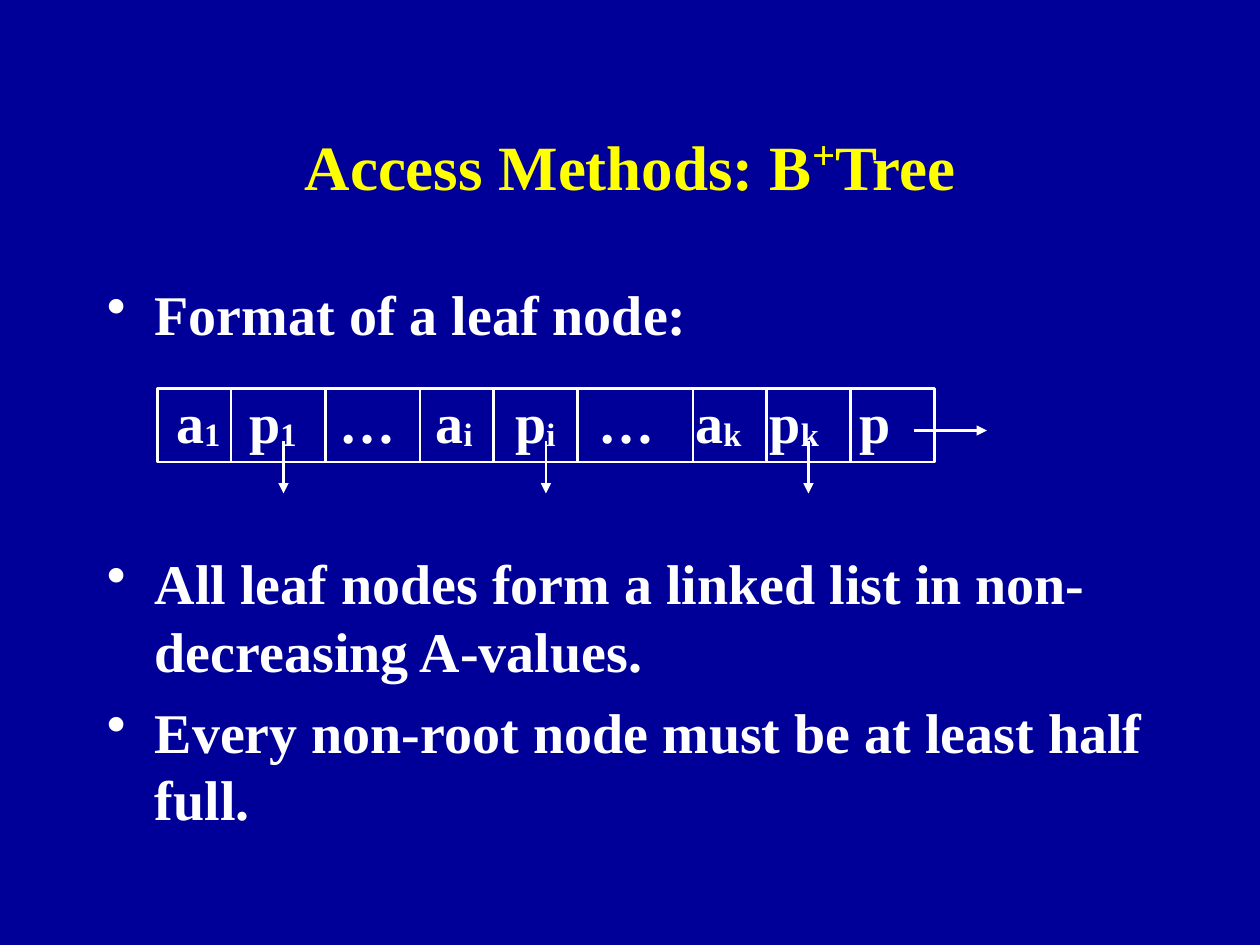
"""Build a slide that shows the format of a B+ tree leaf node."""
import lxml.etree
import pptx
import pptx.dml.color
import pptx.enum.shapes
import pptx.enum.text
import pptx.oxml.ns
import pptx.util

THEME = {
    "background": pptx.dml.color.RGBColor(0x00, 0x00, 0x99),
    "title": pptx.dml.color.RGBColor(0xFF, 0xFF, 0x00),
    "ink": pptx.dml.color.RGBColor(0xFF, 0xFF, 0xFF),
    "font": "Times New Roman",
    "title_size": 36,
    "plus_size": 40,
    "body_size": 32,
    "line_width": 1.5,
}
qualified = pptx.oxml.ns.qn

presentation = pptx.Presentation()
presentation.slide_width = pptx.util.Inches(10)
presentation.slide_height = pptx.util.Inches(7.5)
slide = presentation.slides.add_slide(presentation.slide_layouts[6])
slide.background.fill.solid()
slide.background.fill.fore_color.rgb = THEME["background"]
unit = presentation.slide_width // 120


def add_runs(paragraph, pieces, size, color):
    for text, baseline in pieces:
        run = paragraph.add_run()
        run.text = text
        run.font.name = THEME["font"]
        run.font.size = pptx.util.Pt(size)
        run.font.bold = True
        run.font.color.rgb = color
        if baseline:
            run.font._element.set("baseline", str(baseline * 1000))


def add_line(start_column, start_row, end_column, end_row, arrow=False):
    connector = slide.shapes.add_connector(
        pptx.enum.shapes.MSO_CONNECTOR.STRAIGHT,
        start_column * unit, start_row * unit, end_column * unit, end_row * unit)
    connector.line.color.rgb = THEME["ink"]
    connector.line.width = pptx.util.Pt(THEME["line_width"])
    if arrow:
        lxml.etree.SubElement(connector.line._get_or_add_ln(), qualified("a:tailEnd"), type="triangle")
    lxml.etree.SubElement(connector._element.spPr, qualified("a:effectLst"))


title = slide.shapes.add_textbox(9 * unit, 8 * unit, 102 * unit, 15 * unit)
title.text_frame.word_wrap = True
title.text_frame.vertical_anchor = pptx.enum.text.MSO_ANCHOR.MIDDLE
heading = title.text_frame.paragraphs[0]
heading.alignment = pptx.enum.text.PP_ALIGN.CENTER
add_runs(heading, [("Access Methods: B", 0)], THEME["title_size"], THEME["title"])
add_runs(heading, [("+", 30)], THEME["plus_size"], THEME["title"])
add_runs(heading, [("Tree", 0)], THEME["title_size"], THEME["title"])

body = slide.shapes.add_textbox(9 * unit, 26 * unit, 102 * unit, 54 * unit)
body.text_frame.word_wrap = True
fields = [("a", "1"), ("p", "1"), ("…", ""), ("a", "i"), ("p", "i"),
          ("…", ""), ("a", "k"), ("p", "k"), ("p", "")]
field_stops = [0.55, 1.13, 1.85, 2.61, 3.24, 3.9, 4.67, 5.26, 5.97]
field_pieces = [piece for name, index in fields
                for piece in (("\t" + name, 0), (index, -6)) if piece[0]]
paragraphs = [
    ([("Format of a leaf node:", 0)], 8, True),
    (field_pieces, 8, False),
    ([("All leaf nodes form a linked list in non-decreasing A-values.", 0)], 54, True),
    ([("Every non-root node must be at least half full.", 0)], 8, True),
]
for number, (pieces, space_before, bulleted) in enumerate(paragraphs):
    paragraph = body.text_frame.paragraphs[0] if number == 0 else body.text_frame.add_paragraph()
    paragraph.space_before = pptx.util.Pt(space_before)
    properties = paragraph._element.get_or_add_pPr()
    if bulleted:
        properties.set("marL", str(pptx.util.Inches(0.38)))
        properties.set("indent", str(pptx.util.Inches(-0.38)))
        lxml.etree.SubElement(properties, qualified("a:buChar"), char="•")
    else:
        paragraph.line_spacing = 1.4
        tab_list = lxml.etree.SubElement(properties, qualified("a:tabLst"))
        for stop in field_stops:
            lxml.etree.SubElement(tab_list, qualified("a:tab"), pos=str(pptx.util.Inches(stop)), algn="l")
    add_runs(paragraph, pieces, THEME["body_size"], THEME["ink"])

node = slide.shapes.add_shape(
    pptx.enum.shapes.MSO_SHAPE.RECTANGLE, 15 * unit, 37 * unit, 74 * unit, 7 * unit)
node.shadow.inherit = False
node.fill.background()
node.line.color.rgb = THEME["ink"]
node.line.width = pptx.util.Pt(THEME["line_width"])

for column in (22, 31, 40, 47, 55, 66, 73, 81):
    add_line(column, 37, column, 44)
for column in (27, 52, 77):
    add_line(column, 42, column, 47, arrow=True)
add_line(87, 41, 94, 41, arrow=True)

presentation.save("out.pptx")
